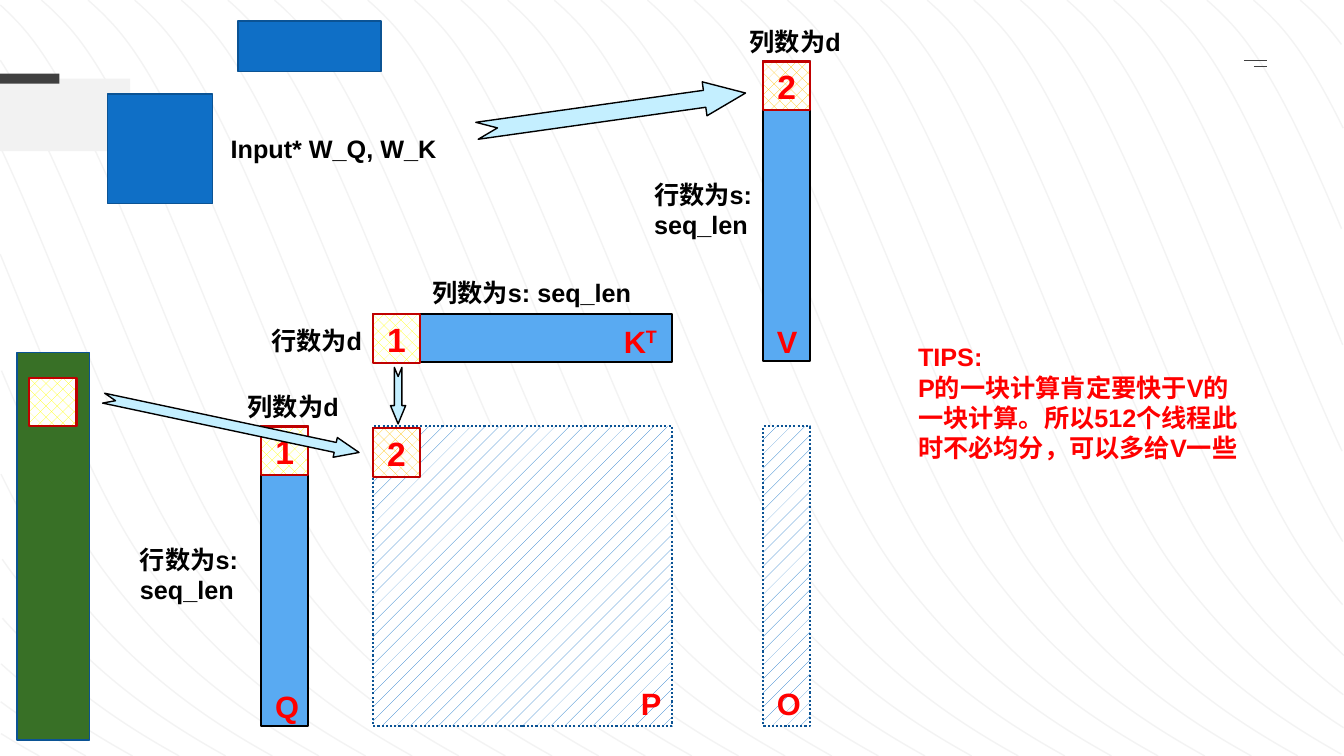
from lxml import etree
from pptx import Presentation
from pptx.dml.color import RGBColor
from pptx.enum.dml import MSO_LINE_DASH_STYLE as DASH, MSO_PATTERN_TYPE as PATTERN
from pptx.enum.shapes import MSO_CONNECTOR as CONN, MSO_SHAPE as SHAPE
from pptx.enum.text import MSO_ANCHOR as ANCHOR, PP_ALIGN as ALIGN
from pptx.oxml.ns import qn
from pptx.util import Pt

COLORS = {
    "white": "FFFFFF", "black": "000000", "red": "FF0000", "wave": "F3F3F3",
    "pale": "F2F2F2", "dark": "404040", "matrix": "59AAF2", "blue": "0F6FC6",
    "navy": "0B5394", "arrow": "C4EFFF", "green": "387026", "crimson": "C00000",
    "yellow": "FFFF00", "amber": "FFC000",
}
RGB = {name: RGBColor.from_string(value) for name, value in COLORS.items()}
WIDTH, HEIGHT = 960, 540

prs = Presentation()
prs.slide_width, prs.slide_height = Pt(WIDTH), Pt(HEIGHT)
s = prs.slides.add_slide(prs.slide_layouts[6])


def draw(geom, x, y, w, h, fill, line=None, width=1, pattern=None):
    """Add a preset shape, filled solid or with a pattern on white."""
    sp = s.shapes.add_shape(geom, Pt(x), Pt(y), Pt(w), Pt(h))
    sp.shadow.inherit = False
    if pattern:
        sp.fill.patterned()
        sp.fill.pattern = pattern
        sp.fill.fore_color.rgb = RGB[fill]
        sp.fill.back_color.rgb = RGB["white"]
    else:
        sp.fill.solid()
        sp.fill.fore_color.rgb = RGB[fill]
    if line:
        sp.line.color.rgb = RGB[line]
        sp.line.width = Pt(width)
    else:
        sp.line.fill.background()
    return sp


def blossom(points, *params):
    """Mix Bezier control points level by level, one parameter per level."""
    for t in params:
        points = [tuple((1 - t) * m + t * n for m, n in zip(a, b))
                  for a, b in zip(points, points[1:])]
    return points[0]


# Background waves: one Bezier chain repeated at an equal step, cut at the slide edges
WAVE = [(0, -19.4), (67, -36.7), (134, -54), (199.4, 17.3), (265, 88.6),
        (324, 315.4), (393, 408.2), (462, 501), (538.6, 537.8), (615, 574.6)]
WAVE_START, WAVE_STEP, WAVE_COUNT, SAMPLES = -518.4, 33.3, 40, 100

arcs = []
for n in range(WAVE_COUNT):
    wave = [(x + WAVE_START + n * WAVE_STEP, y) for x, y in WAVE]
    for start in (0, 3, 6):
        arc = wave[start:start + 4]
        seen = []
        for k in range(SAMPLES + 1):
            x, y = blossom(arc, *[k / SAMPLES] * 3)
            if 0 <= x <= WIDTH and 0 <= y <= HEIGHT:
                seen.append(k / SAMPLES)
        if len(seen) > 1:
            a, b = seen[0], seen[-1]
            cut = [blossom(arc, *ts) for ts in ((a, a, a), (a, a, b), (a, b, b), (b, b, b))]
            arcs.append([(Pt(min(max(x, 0), WIDTH)), Pt(min(max(y, 0), HEIGHT))) for x, y in cut])

builder = s.shapes.build_freeform(*arcs[0][0])
for i, arc in enumerate(arcs):
    if i:
        builder.move_to(*arc[0])
    builder.add_line_segments(arc[1:], close=False)
waves = builder.convert_to_shape()
waves.shadow.inherit = False
waves.fill.background()
waves.line.color.rgb = RGB["wave"]
waves.line.width = Pt(1)
legs = list(waves._element.iter(qn("a:lnTo")))
for i in range(0, len(legs), 3):
    bezier = etree.Element(qn("a:cubicBezTo"))
    legs[i].addprevious(bezier)
    for leg in legs[i:i + 3]:
        bezier.append(leg[0])
        leg.getparent().remove(leg)

# Page ornaments
draw(SHAPE.RECTANGLE, 0, 56.2, 92.9, 51.8, "pale")
draw(SHAPE.RECTANGLE, 0, 52.6, 42.5, 7.2, "dark")
for x, y in ((888.5, 43.2), (895.7, 47.5)):
    cn = s.shapes.add_connector(CONN.STRAIGHT, Pt(x), Pt(y), Pt(905), Pt(y))
    cn.line.color.rgb = RGB["dark"]
    cn.line.width = Pt(1)
    etree.SubElement(cn._element.spPr, qn("a:effectLst"))

# Matrices
THIN, LONG = 33.8, 213.8
Q_X, P_X, V_X = 186.5, 266.4, 545
V_Y, K_Y, P_Y = 43.9, 224.6, 304.6
for x, y, w, h in ((Q_X, P_Y, THIN, LONG), (P_X, K_Y, LONG, THIN), (V_X, V_Y, THIN, LONG)):
    draw(SHAPE.RECTANGLE, x, y, w, h, "matrix", "black", 1.5)
for x, w in ((P_X, LONG), (V_X, THIN)):
    sp = draw(SHAPE.RECTANGLE, x, P_Y, w, LONG, "blue", "navy", 1.5, PATTERN.PERCENT_5)
    sp.line.dash_style = DASH.ROUND_DOT
for x, y, w, h, fill in ((77, 67, 74.9, 78.5, "blue"), (169.9, 15.1, 102.2, 36, "blue"),
                         (12.2, 252, 51.8, 276.5, "green")):
    draw(SHAPE.RECTANGLE, x, y, w, h, fill, "navy")

# Tiles with their step number
for x, y, step, fill in (
    (P_X, K_Y, "1", "yellow"), (Q_X, P_Y, "1", "yellow"), (P_X, 306, "2", "amber"),
    (V_X, V_Y, "2", "amber"), (20.9, 270, "", "yellow"),
):
    sp = draw(SHAPE.RECTANGLE, x, y, THIN, 34.6, fill, "crimson", 1.5, PATTERN.PERCENT_25)
    if step:
        tf = sp.text_frame
        tf.margin_left = tf.margin_right = 0
        tf.vertical_anchor = ANCHOR.MIDDLE
        p = tf.paragraphs[0]
        p.alignment = ALIGN.CENTER
        r = p.add_run()
        r.text = step
        for key, value in {"name": "Arial", "size": Pt(24), "bold": True}.items():
            setattr(r.font, key, value)
        r.font.color.rgb = RGB["red"]

# Arrows
for x, y, w, h, angle in ((72, 296.6, 186.5, 14.4, 12), (339.8, 67.7, 193.7, 24.5, 352),
                          (264.2, 277.2, 40.3, 10.8, 90)):
    sp = draw(SHAPE.NOTCHED_RIGHT_ARROW, x, y, w, h, "arrow", "black")
    sp.adjustments[0], sp.adjustments[1] = 0.5, 1.205
    sp.rotation = angle

# Labels: each line is a list of runs, and a second run is raised
TIPS = "P的一块计算肯定要快于V的一块计算。所以512个线程此时不必均分，可以多给V一些"
for lines, x, y, w, h, size, color in (
    (["行数为s: seq_len"], 92.9, 385.2, 93.6, 51.1, 18, "black"),
    (["列数为d"], 169.9, 275.8, 85.7, 28.8, 18, "black"),
    (["行数为d"], 186.5, 229, 85.7, 23, 18, "black"),
    (["列数为s: seq_len"], 301.7, 194.4, 200.2, 27.4, 18, "black"),
    (["行数为s: seq_len"], 460.1, 124.6, 96.5, 51.1, 18, "black"),
    (["列数为d"], 528.5, 15.1, 98.6, 28.8, 18, "black"),
    (["Input* W_Q, W_K"], 157.7, 91.4, 169.2, 28.8, 18, "black"),
    (["Q"], 189.4, 487.4, 25.2, 33.8, 22, "red"),
    (["K^T"], 438.5, 226.8, 42.5, 33.8, 22, "red"),
    (["V"], 547.9, 226.8, 25.2, 33.8, 22, "red"),
    (["P"], 450.7, 485.3, 25.2, 33.8, 22, "red"),
    (["O"], 547.9, 485.3, 25.2, 33.8, 22, "red"),
    (["TIPS:", TIPS], 648.7, 240.5, 249.1, 94.3, 18, "red"),
):
    tf = s.shapes.add_textbox(Pt(x), Pt(y), Pt(w), Pt(h)).text_frame
    tf.word_wrap = True
    for i, line in enumerate(lines):
        p = tf.add_paragraph() if i else tf.paragraphs[0]
        for raised, part in enumerate(line.split("^")):
            r = p.add_run()
            r.text = part
            for key, value in {"name": "Arial", "size": Pt(size), "bold": True}.items():
                setattr(r.font, key, value)
            r.font.color.rgb = RGB[color]
            if raised:
                r.font._element.set("baseline", "30000")

prs.save("out.pptx")
